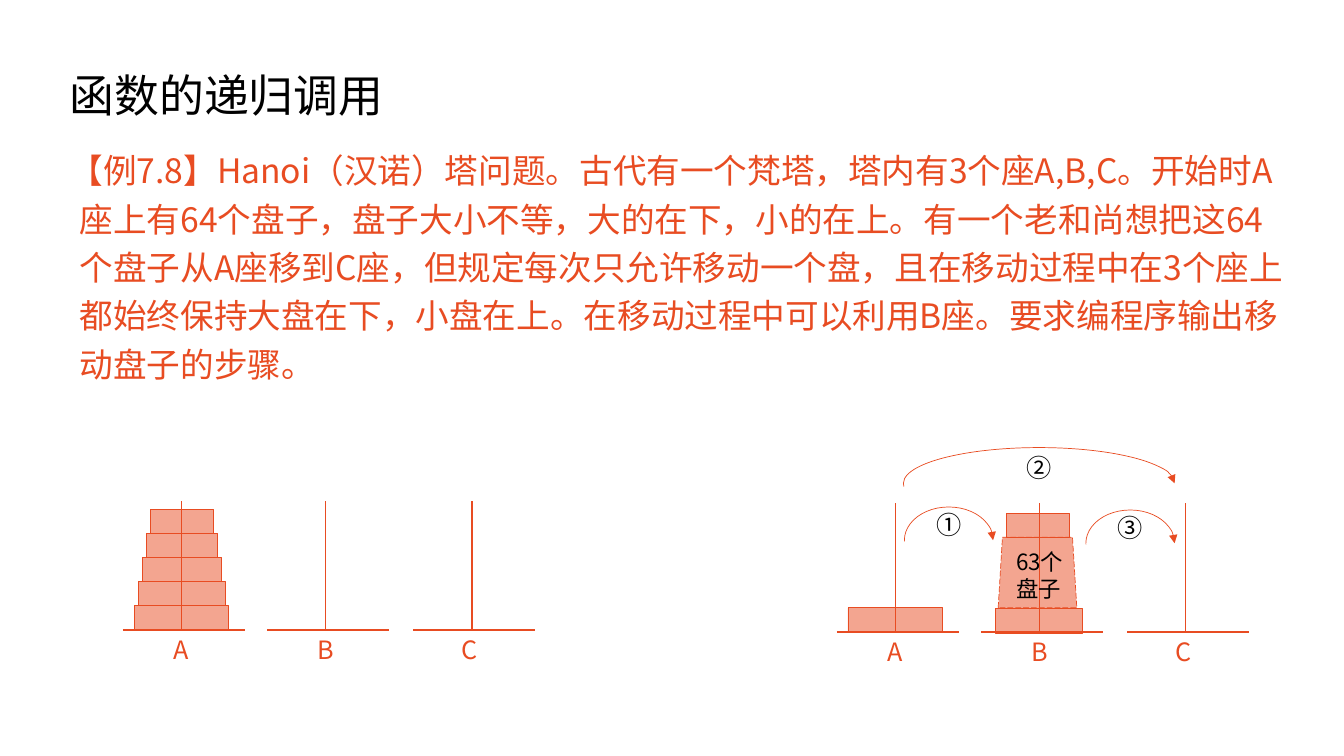
from pptx import Presentation
from pptx.dml.color import RGBColor
from pptx.enum.dml import MSO_LINE
from pptx.enum.shapes import MSO_CONNECTOR as Connector, MSO_SHAPE as Shape
from pptx.enum.text import MSO_ANCHOR as Anchor, MSO_AUTO_SIZE as AutoSize, PP_ALIGN as Align
from pptx.oxml.ns import qn
from pptx.util import Pt
from lxml.etree import SubElement

FONT = "Noto Sans CJK SC"
ORANGE = RGBColor(0xE8, 0x4C, 0x22)
BLACK = RGBColor(0, 0, 0)
PX = 9144

TITLE = "函数的递归调用"
PROBLEM = (
    "【例7.8】Hanoi（汉诺）塔问题。古代有一个梵塔，塔内有3个座A,B,C。"
    "开始时A座上有64个盘子，盘子大小不等，大的在下，小的在上。"
    "有一个老和尚想把这64个盘子从A座移到C座，但规定每次只允许移动一个盘，"
    "且在移动过程中在3个座上都始终保持大盘在下，小盘在上。"
    "在移动过程中可以利用B座。要求编程序输出移动盘子的步骤。"
)
PEG_NAMES = "A\tB\tC"
PEG_TABS = (143, 286)
STACK_LABEL = "63个盘子"

SCENES = [(122, 625), (830, 627)]
PEG_STEPS = (0, 143, 288)
BASE_WIDTH, POST_OFFSET, POST_HEIGHT = 121, 58, 128

DISK_HEIGHT = 24
TOWER_WIDTHS = (94, 87, 79, 71, 63)
TOWER_LEFT_PLUS_RIGHT, TOWER_TOP = 361, 601
MOVED_DISKS = [(841, 603, 94), (987, 604, 87), (998, 509, 63)]
MOVES = [
    ("①", 897, 503, 88, 66),
    ("③", 1077, 506, 88, 66),
    ("②", 896, 444, 269, 71),
]


def px(*lengths):
    return [length * PX for length in lengths]


def style(para, size, color):
    font = para.font
    font.size = Pt(size)
    font.name = FONT
    font.color.rgb = color
    SubElement(font._element, qn("a:ea"), typeface=FONT)


def place(shape, left, top, width, height):
    shape.left, shape.top, shape.width, shape.height = px(left, top, width, height)


def add_line(page, x1, y1, x2, y2):
    line = page.shapes.add_connector(Connector.STRAIGHT, *px(x1, y1, x2, y2))
    line.line.color.rgb = ORANGE
    line.line.width = Pt(1)
    SubElement(line._element.spPr, qn("a:effectLst"))


def add_outlined(page, kind, left, top, width, height):
    shape = page.shapes.add_shape(kind, *px(left, top, width, height))
    shape.shadow.inherit = False
    shape.line.color.rgb = ORANGE
    shape.line.width = Pt(0.5)
    return shape


def add_disk(page, left, top, width, height=DISK_HEIGHT, kind=Shape.RECTANGLE):
    disk = add_outlined(page, kind, left, top, width, height)
    disk.fill.solid()
    disk.fill.fore_color.rgb = ORANGE
    color = disk._element.spPr.find(qn("a:solidFill"))[0]
    SubElement(color, qn("a:alpha"), val="50000")
    return disk


def add_text(page, text, left, top, width, height, size, color, tabs=()):
    box = page.shapes.add_textbox(*px(left, top, width, height))
    frame = box.text_frame
    frame.word_wrap = True
    frame.auto_size = AutoSize.SHAPE_TO_FIT_TEXT
    para = frame.paragraphs[0]
    para.text = text
    if tabs:
        tab_list = SubElement(para._p.get_or_add_pPr(), qn("a:tabLst"))
        for tab in tabs:
            SubElement(tab_list, qn("a:tab"), pos=str(tab * PX), algn="l")
    style(para, size, color)


def add_scene(page, left, ground):
    for step in PEG_STEPS:
        base = left + step
        post = base + POST_OFFSET
        add_line(page, base, ground, base + BASE_WIDTH, ground)
        add_line(page, post, ground, post, ground - POST_HEIGHT)
    add_text(page, PEG_NAMES, left + 40, ground - 1, 331, 40, 18, ORANGE, PEG_TABS)


def add_move(page, number, left, top, width, height):
    arc = add_outlined(page, Shape.ARC, left, top, width, height)
    arc.adjustments[0] = 107.193
    arc.adjustments[1] = 0
    arc.fill.background()
    SubElement(arc.line._get_or_add_ln(), qn("a:tailEnd"), type="triangle")
    arc.text_frame.vertical_anchor = Anchor.MIDDLE
    para = arc.text_frame.paragraphs[0]
    para.text = number
    para.alignment = Align.CENTER
    style(para, 18, BLACK)


def add_heading(page):
    title, body = page.placeholders
    place(title, 59, 25, 1150, 145)
    title.text_frame.vertical_anchor = Anchor.MIDDLE
    title.text_frame.auto_size = AutoSize.NONE
    para = title.text_frame.paragraphs[0]
    para.text = TITLE
    para.alignment = Align.LEFT
    para.line_spacing = 0.9
    style(para, 32, BLACK)

    place(body, 59, 136, 1232, 151)
    body.text_frame.auto_size = AutoSize.NONE
    para = body.text_frame.paragraphs[0]
    para.text = PROBLEM
    properties = para._p.get_or_add_pPr()
    properties.set("marL", str(10 * PX))
    properties.set("indent", str(-10 * PX))
    SubElement(properties, qn("a:buNone"))
    para.line_spacing = 1.2
    para.space_before = Pt(0)
    style(para, 24, ORANGE)


def main():
    deck = Presentation()
    deck.slide_width, deck.slide_height = px(1333, 750)
    page = deck.slides.add_slide(deck.slide_layouts[1])
    add_heading(page)

    for left, ground in SCENES:
        add_scene(page, left, ground)
    for level, width in enumerate(TOWER_WIDTHS):
        left = (TOWER_LEFT_PLUS_RIGHT - width) // 2
        add_disk(page, left, TOWER_TOP - level * DISK_HEIGHT, width)
    for left, top, width in MOVED_DISKS:
        add_disk(page, left, top, width)

    stack = add_disk(page, 990, 533, 78, 70, Shape.TRAPEZOID)
    stack.adjustments[0] = 0.061
    stack.line.dash_style = MSO_LINE.LONG_DASH
    add_text(page, STACK_LABEL, 998, 539, 85, 64, 16, BLACK)

    for move in MOVES:
        add_move(page, *move)
    deck.save("out.pptx")


if __name__ == "__main__":
    main()
